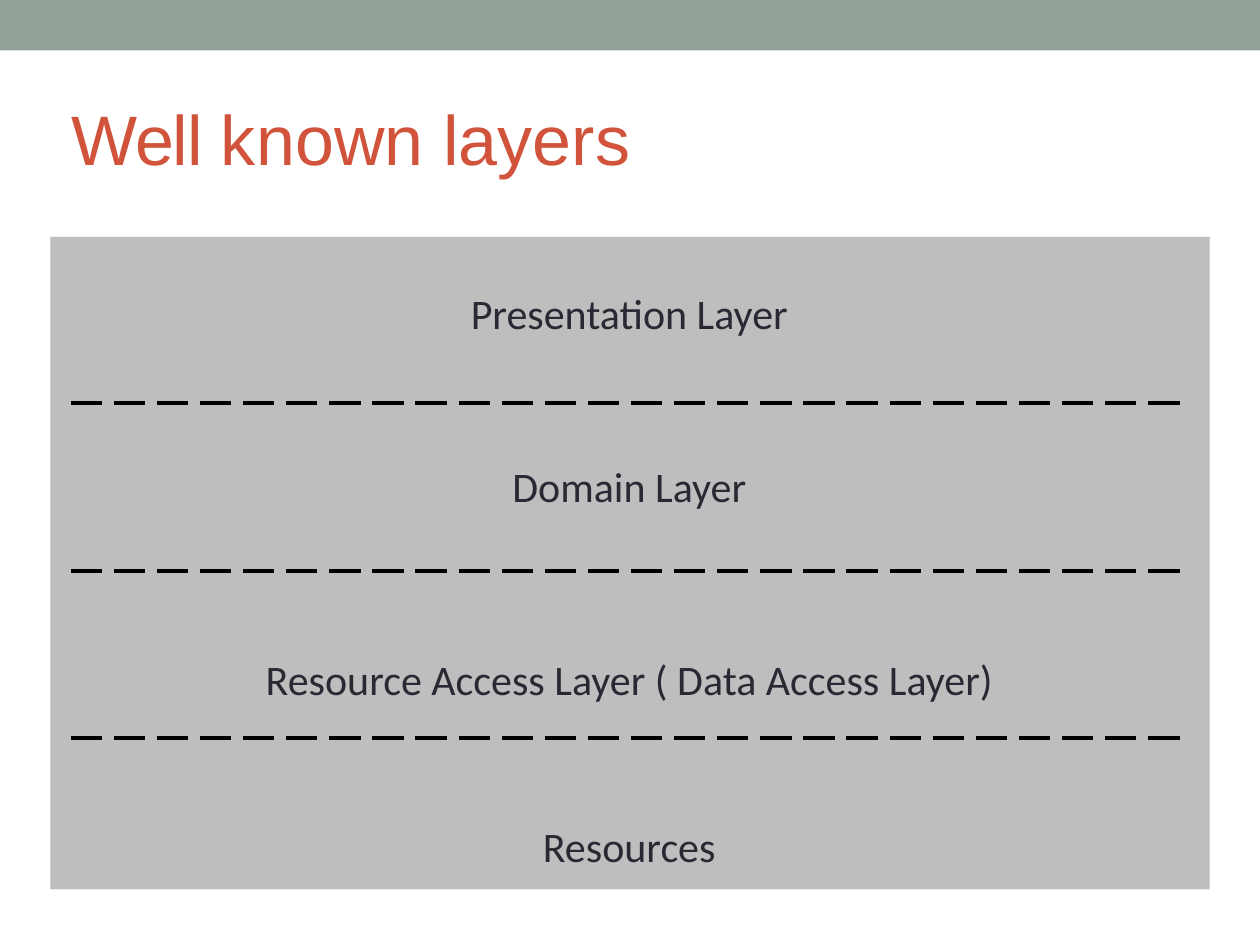
from dataclasses import dataclass

from lxml.etree import SubElement
from pptx import Presentation
from pptx.dml.color import RGBColor
from pptx.enum.dml import MSO_LINE
from pptx.enum.shapes import MSO_CONNECTOR, MSO_SHAPE
from pptx.enum.text import MSO_ANCHOR, PP_ALIGN
from pptx.oxml.ns import qn
from pptx.util import Inches, Pt


@dataclass(frozen=True)
class Theme:
    band: RGBColor = RGBColor.from_string("93A299")
    title: RGBColor = RGBColor.from_string("D2533C")
    panel: RGBColor = RGBColor.from_string("BEBEBE")
    text: RGBColor = RGBColor.from_string("292934")
    divider: RGBColor = RGBColor.from_string("000000")
    title_size: Pt = Pt(40)
    label_size: Pt = Pt(24)
    divider_width: Pt = Pt(2.25)


THEME = Theme()

# Each layer with the space before its label, in points
LAYERS = [
    ("Presentation Layer", 0),
    ("Domain Layer", 70),
    ("Resource Access Layer ( Data Access Layer)", 81.5),
    ("Resources", 67),
]


def set_values(target, values):
    for name, value in values.items():
        setattr(target, name, value)


def add_block(page, left, top, width, height, color):
    block = page.shapes.add_shape(MSO_SHAPE.RECTANGLE, left, top, width, height)
    block.shadow.inherit = False
    block.fill.solid()
    block.fill.fore_color.rgb = color
    block.line.fill.background()


def add_text_frame(page, left, top, width, height, **values):
    frame = page.shapes.add_textbox(left, top, width, height).text_frame
    margins = {f"margin_{side}": 0 for side in ("left", "top", "right", "bottom")}
    set_values(frame, {"word_wrap": True, **margins, **values})
    return frame


def add_span(para, text, color, tracking=0, **font_values):
    """Add a run; tracking is the letter spacing in hundredths of a point."""
    span = para.add_run()
    span.text = text
    set_values(span.font, font_values)
    span.font.color.rgb = color
    if tracking:
        span.font._element.set("spc", str(tracking))


def add_title(page, left, top, width, height):
    frame = add_text_frame(page, left, top, width, height,
                           vertical_anchor=MSO_ANCHOR.MIDDLE, margin_top=Inches(0.03))
    for text, tracking in (("Well ", -70), ("known layers", 10)):
        add_span(frame.paragraphs[0], text, THEME.title, tracking,
                 name="Arial", size=THEME.title_size)


def add_divider(page, left, top, width):
    divider = page.shapes.add_connector(MSO_CONNECTOR.STRAIGHT, left, top, left + width, top)
    set_values(divider.line, {"width": THEME.divider_width,
                              "dash_style": MSO_LINE.LONG_DASH})
    divider.line.color.rgb = THEME.divider
    SubElement(divider._element.spPr, qn("a:effectLst"))


def add_layers(page, left, top, width, height):
    """Place the panel, its layer labels and the dashed dividers between them."""
    add_block(page, left, top, width, height, THEME.panel)

    frame = add_text_frame(page, left + Inches(1.68), top + Inches(0.37),
                           Inches(5.83), Inches(4.7), margin_top=Inches(0.03))
    for index, (label, space) in enumerate(LAYERS):
        para = frame.add_paragraph() if index else frame.paragraphs[0]
        set_values(para, {"alignment": PP_ALIGN.CENTER, "space_before": Pt(space)})
        add_span(para, label, THEME.text, name="Calibri", size=THEME.label_size)

    first, step = top + Inches(1.32), Inches(1.33)
    for index in range(len(LAYERS) - 1):
        add_divider(page, left + Inches(0.16), first + index * step, Inches(8.88))


def main():
    deck = Presentation()
    set_values(deck, {"slide_width": Inches(10), "slide_height": Inches(7.5)})
    page = deck.slides.add_slide(deck.slide_layouts[6])
    add_block(page, 0, 0, deck.slide_width, Inches(0.4), THEME.band)
    add_title(page, Inches(0.57), Inches(0.73), Inches(8.78), Inches(0.69))
    add_layers(page, Inches(0.4), Inches(1.88), Inches(9.2), Inches(5.18))
    deck.save("out.pptx")


if __name__ == "__main__":
    main()
